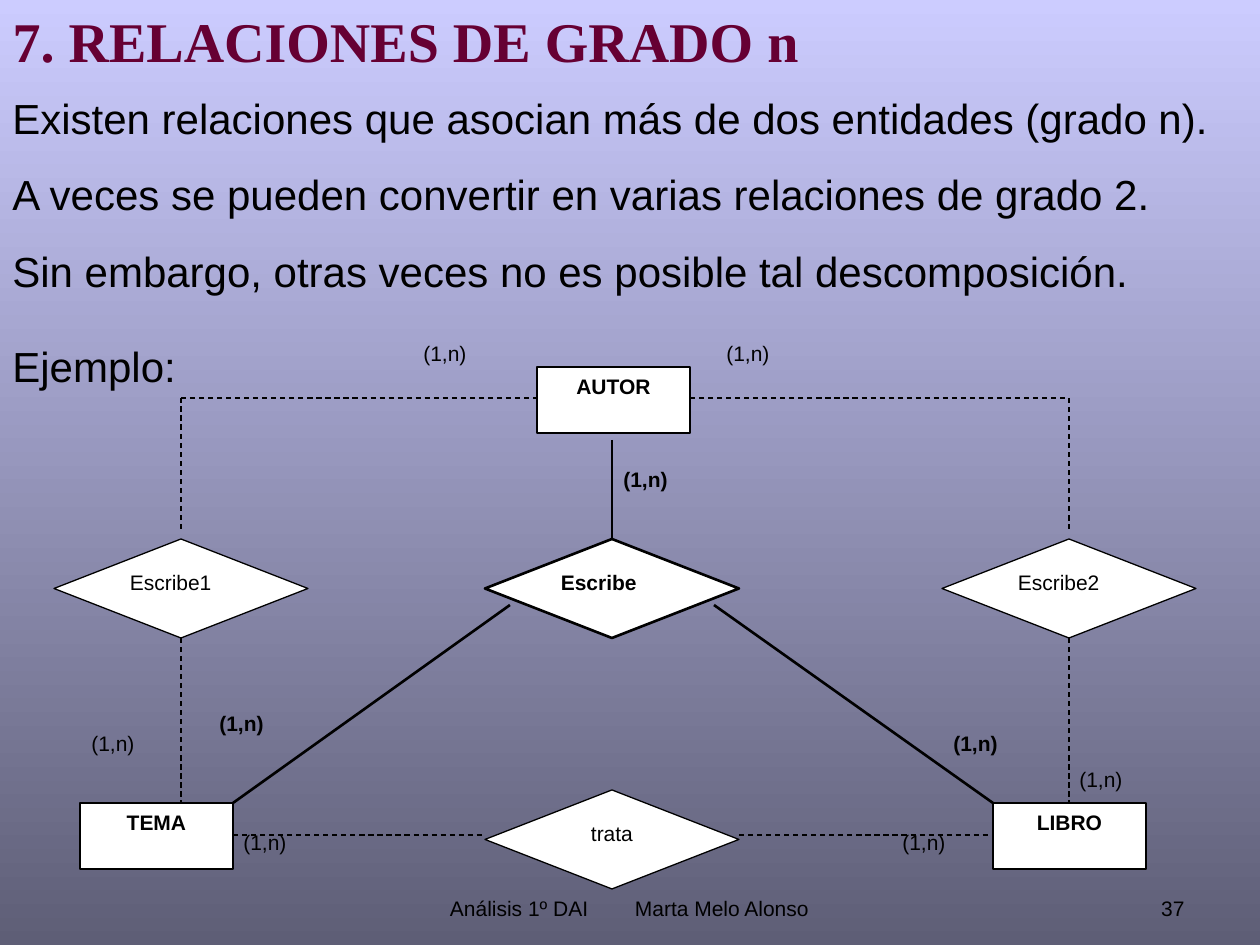
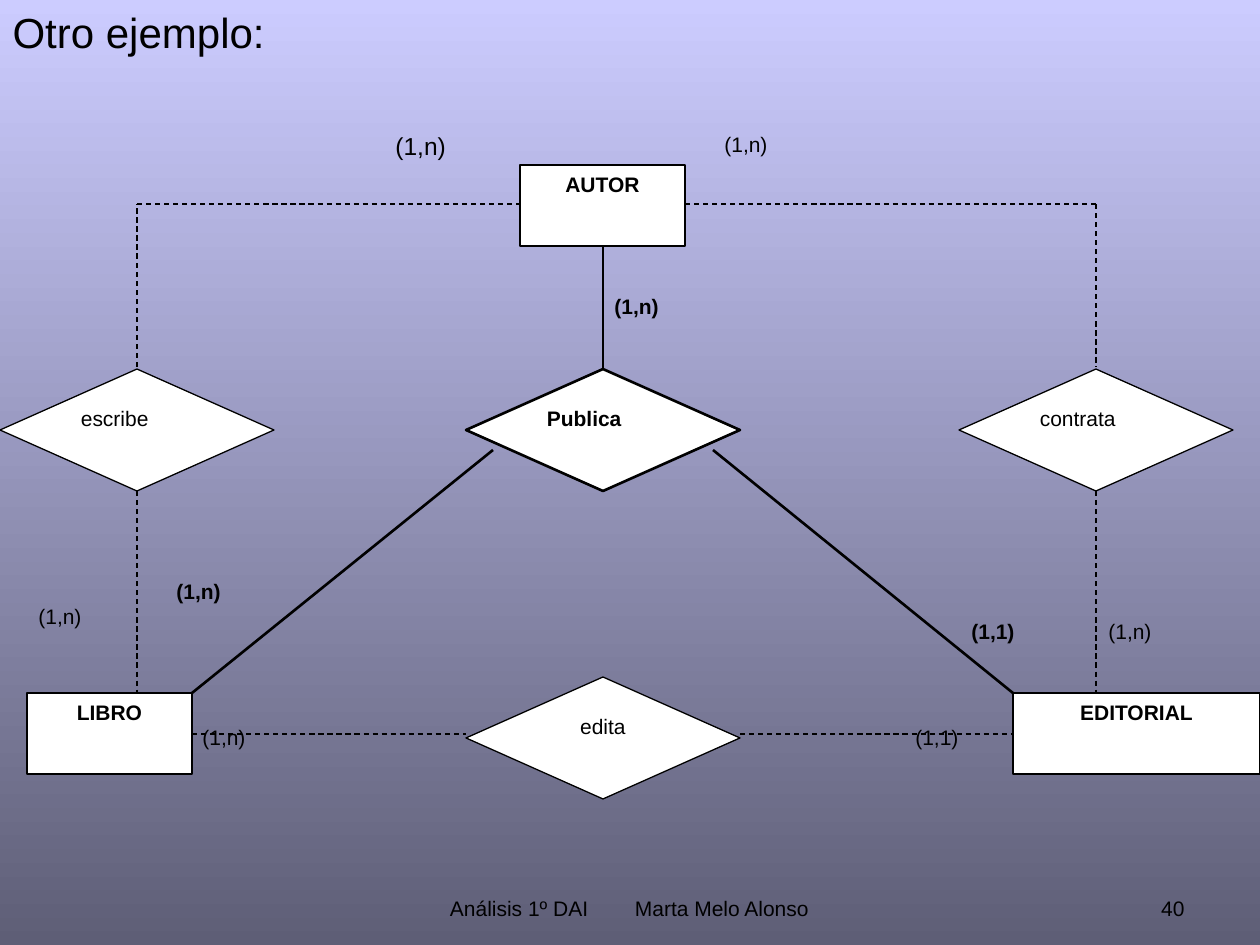
from dataclasses import dataclass

from pptx import Presentation
from pptx.dml.color import RGBColor
from pptx.enum.dml import MSO_LINE
from pptx.enum.shapes import MSO_CONNECTOR, MSO_SHAPE
from pptx.enum.text import MSO_ANCHOR, MSO_AUTO_SIZE, PP_ALIGN
from pptx.oxml.xmlchemy import OxmlElement
from pptx.util import Inches, Pt

SCALE = Inches(1) / 126


@dataclass(frozen=True)
class Theme:
    ink: RGBColor = RGBColor(0x00, 0x00, 0x00)
    paper: RGBColor = RGBColor(0xFF, 0xFF, 0xFF)
    heading: RGBColor = RGBColor(0x66, 0x00, 0x33)
    sky: RGBColor = RGBColor(0xCC, 0xCC, 0xFF)
    dusk: RGBColor = RGBColor(0x5E, 0x5E, 0x76)
    sans: str = "Arial"
    serif: str = "Times New Roman"
    heading_size: int = 32
    body_size: int = 24
    large_label_size: int = 14
    label_size: int = 12
    thin: float = 0.75
    thick: float = 1.5


theme = Theme()


def px(*lengths):
    return [round(length * SCALE) for length in lengths]


def write(shape, lines, size=theme.label_size, bold=False, align=PP_ALIGN.LEFT,
          anchor=MSO_ANCHOR.TOP, font=theme.sans, color=theme.ink, before=0):
    text_frame = shape.text_frame
    text_frame.text = lines
    text_frame.word_wrap = True
    text_frame.auto_size = MSO_AUTO_SIZE.NONE
    text_frame.vertical_anchor = anchor
    for paragraph in text_frame.paragraphs:
        paragraph.alignment = align
        paragraph.space_before = Pt(before)
        for run in paragraph.runs:
            run.font.name = font
            run.font.size = Pt(size)
            run.font.bold = bold
            run.font.color.rgb = color


slide_specs = [
    {
        "number": "37",
        "title": "7. RELACIONES DE GRADO n",
        "title_box": (0, 0, 1260, 81),
        "title_style": {"size": theme.heading_size, "bold": True,
                        "font": theme.serif, "color": theme.heading, "before": 20},
        "body": [
            ("Existen relaciones que asocian más de dos entidades (grado n).\n"
             "A veces se pueden convertir en varias relaciones de grado 2.\n"
             "Sin embargo, otras veces no es posible tal descomposición.",
             (0, 86, 1235, 217)),
            ("Ejemplo:", (0, 334, 233, 63)),
        ],
        "entities": [("AUTOR", 537, 367, 153), ("TEMA", 80, 803, 153),
                     ("LIBRO", 993, 803, 153)],
        "entity_height": 66,
        "relations": [("Escribe1", 54, 539), ("Escribe", 485, 539),
                      ("Escribe2", 942, 539), ("trata", 485, 790)],
        "relation_size": (254, 99),
        "upper_wire": 398, "wire_end": 529, "lower_wire": 835, "stem_start": 440,
        "label_size": (101, 66),
        "labels": [
            ("(1,n)", 411, 334, theme.label_size, False),
            ("(1,n)", 714, 334, theme.label_size, False),
            ("(1,n)", 611, 460, theme.label_size, True),
            ("(1,n)", 207, 704, theme.label_size, True),
            ("(1,n)", 941, 724, theme.label_size, True),
            ("(1,n)", 79, 724, theme.label_size, False),
            ("(1,n)", 1067, 760, theme.label_size, False),
            ("(1,n)", 231, 823, theme.label_size, False),
            ("(1,n)", 890, 823, theme.label_size, False),
        ],
    },
    {
        "number": "40",
        "title": "Otro ejemplo:",
        "title_box": (0, 0, 868, 63),
        "title_style": {"size": theme.body_size, "before": 15},
        "body": [],
        "entities": [("AUTOR", 520, 165, 165), ("LIBRO", 27, 693, 165),
                     ("EDITORIAL", 1013, 693, 247)],
        "entity_height": 81,
        "relations": [("escribe", 0, 369), ("Publica", 466, 369),
                      ("contrata", 959, 369), ("edita", 466, 677)],
        "relation_size": (274, 122),
        "upper_wire": 204, "wire_end": 367, "lower_wire": 734, "stem_start": 247,
        "label_size": (110, 81),
        "labels": [
            ("(1,n)", 383, 125, theme.large_label_size, False),
            ("(1,n)", 712, 125, theme.label_size, False),
            ("(1,n)", 602, 287, theme.label_size, True),
            ("(1,n)", 164, 572, theme.label_size, True),
            ("(1,1)", 959, 612, theme.label_size, True),
            ("(1,n)", 26, 597, theme.label_size, False),
            ("(1,n)", 1096, 612, theme.label_size, False),
            ("(1,n)", 190, 718, theme.label_size, False),
            ("(1,1)", 903, 718, theme.label_size, False),
        ],
    },
]

presentation = Presentation()
presentation.slide_width, presentation.slide_height = px(1260, 945)
background = presentation.slide_master.background.fill
background.gradient()
background.gradient_angle = 270
for stop, color in zip(background.gradient_stops, (theme.sky, theme.dusk)):
    stop.color.rgb = color

for spec in slide_specs:
    slide = presentation.slides.add_slide(presentation.slide_layouts[5])
    title = slide.shapes.title
    title.left, title.top, title.width, title.height = px(*spec["title_box"])
    write(title, spec["title"], **spec["title_style"])

    number = slide.shapes.add_textbox(*px(903, 861, 294, 66))
    write(number, spec["number"], align=PP_ALIGN.RIGHT, anchor=MSO_ANCHOR.BOTTOM)

    footer = slide.shapes.add_textbox(*px(431, 861, 399, 66))
    write(footer, "Análisis 1º DAI\tMarta Melo Alonso", anchor=MSO_ANCHOR.BOTTOM)
    footer.text_frame.margin_left = px(19)[0]
    tab_list = OxmlElement("a:tabLst")
    tab = OxmlElement("a:tab")
    tab.set("pos", str(px(185)[0]))
    tab.set("algn", "l")
    tab_list.append(tab)
    footer.text_frame.paragraphs[0]._p.get_or_add_pPr().append(tab_list)

    for text, box in spec["body"]:
        write(slide.shapes.add_textbox(*px(*box)), text, theme.body_size, before=15)

    (_, top_x, top_y, top_width), (_, left_x, low_y, left_width), (_, right_x, _, _) = spec["entities"]
    relation_width, relation_height = spec["relation_size"]
    (_, left_relation, middle_y), (_, center_relation, _), (_, right_relation, _), _ = spec["relations"]
    left_axis, center_axis, right_axis = [
        left + relation_width // 2 for left in (left_relation, center_relation, right_relation)]
    middle_bottom = middle_y + relation_height
    center_right = center_relation + relation_width
    arm_inset = relation_width // 10
    arm_y = middle_y + relation_height * 2 // 3
    upper_wire, wire_end, lower_wire = spec["upper_wire"], spec["wire_end"], spec["lower_wire"]

    dashed_lines = [
        (left_axis, wire_end, left_axis, upper_wire),
        (left_axis, upper_wire, top_x, upper_wire),
        (top_x + top_width, upper_wire, right_axis, upper_wire),
        (right_axis, upper_wire, right_axis, wire_end),
        (left_axis, middle_bottom, left_axis, low_y),
        (right_axis, middle_bottom, right_axis, low_y),
        (left_x + left_width, lower_wire, center_relation, lower_wire),
        (center_right, lower_wire, right_x, lower_wire),
    ]
    solid_lines = [
        (center_axis, spec["stem_start"], center_axis, middle_y),
        (left_x + left_width, low_y, center_relation + arm_inset, arm_y),
        (right_x, low_y, center_right - arm_inset, arm_y),
    ]
    for ends in dashed_lines + solid_lines:
        connector = slide.shapes.add_connector(MSO_CONNECTOR.STRAIGHT, *px(*ends))
        connector.line.color.rgb = theme.ink
        connector.line.width = Pt(theme.thick if ends in solid_lines else theme.thin)
        if ends in dashed_lines:
            connector.line.dash_style = MSO_LINE.DASH
        connector._element.spPr.append(OxmlElement("a:effectLst"))

    nodes = [(MSO_SHAPE.RECTANGLE, name, (left, top, width, spec["entity_height"]),
              True, PP_ALIGN.CENTER)
             for name, left, top, width in spec["entities"]]
    nodes += [(MSO_SHAPE.DIAMOND, name, (left, top, relation_width, relation_height),
               index == 1, PP_ALIGN.CENTER if index == 3 else PP_ALIGN.LEFT)
              for index, (name, left, top) in enumerate(spec["relations"])]
    for kind, name, box, strong, align in nodes:
        shape = slide.shapes.add_shape(kind, *px(*box))
        shape.shadow.inherit = False
        shape.fill.solid()
        shape.fill.fore_color.rgb = theme.paper
        shape.line.color.rgb = theme.ink
        shape.line.width = Pt(theme.thick if strong else theme.thin)
        write(shape, name, bold=strong, align=align)

    for text, left, top, size, bold in spec["labels"]:
        label = slide.shapes.add_textbox(*px(left, top, *spec["label_size"]))
        write(label, text, size, bold)

presentation.save("out.pptx")
